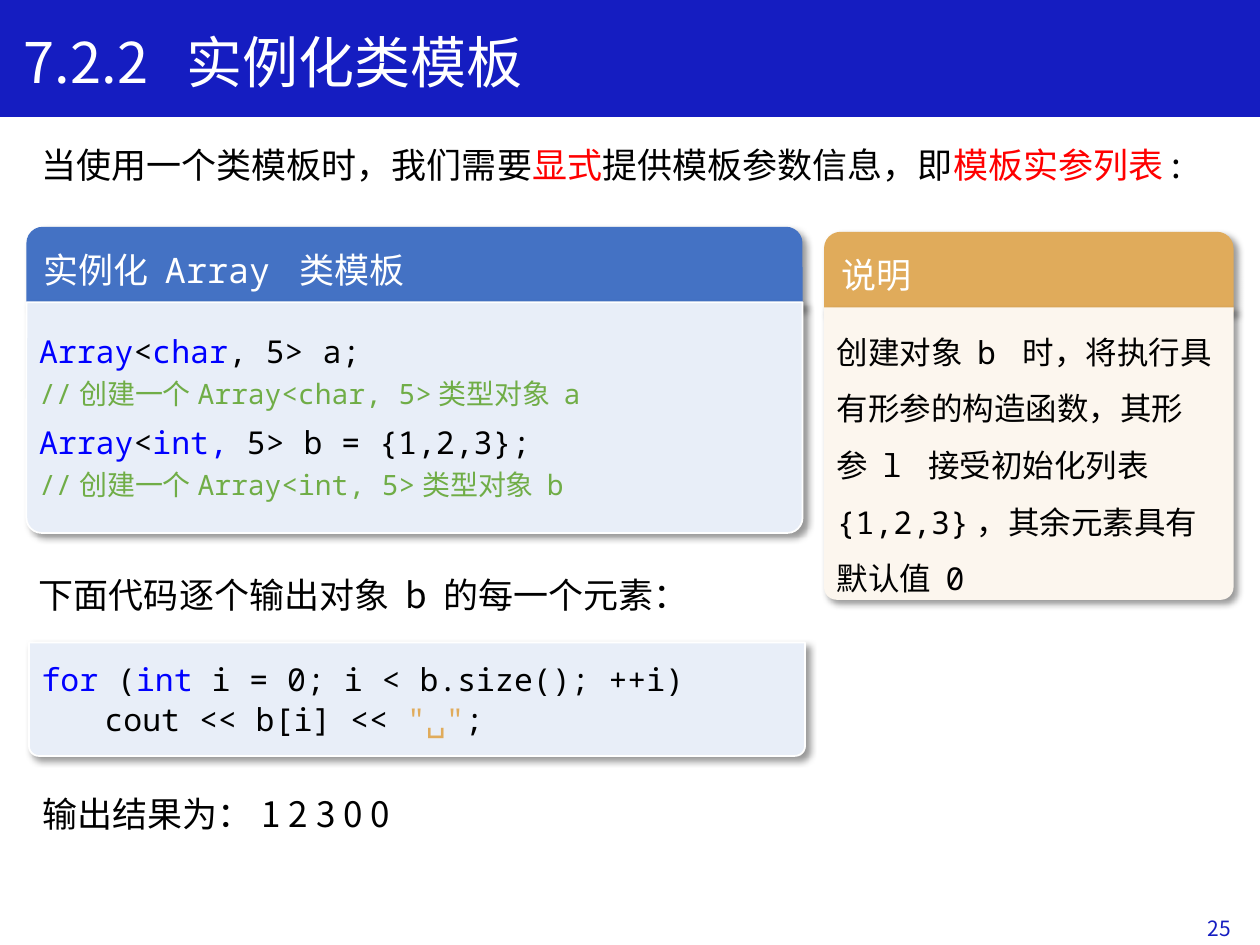
from lxml import etree
from pptx import Presentation
from pptx.dml.color import RGBColor
from pptx.enum.shapes import MSO_SHAPE
from pptx.enum.text import MSO_ANCHOR, PP_ALIGN
from pptx.oxml import parse_xml
from pptx.oxml.ns import nsdecls, qn
from pptx.util import Inches, Pt

RECT, ROUND = MSO_SHAPE.RECTANGLE, MSO_SHAPE.ROUND_2_SAME_RECTANGLE
TOP, MIDDLE = MSO_ANCHOR.TOP, MSO_ANCHOR.MIDDLE
LEFT, RIGHT = PP_ALIGN.LEFT, PP_ALIGN.RIGHT
NAVY = RGBColor(0x15, 0x1D, 0xC1)
HEADER_BLUE = RGBColor(0x44, 0x72, 0xC4)
PALE_BLUE = RGBColor(0xE8, 0xEE, 0xF8)
GOLD = RGBColor(0xE0, 0xAB, 0x5B)
CREAM = RGBColor(0xFC, 0xF6, 0xEE)
KEYWORD = RGBColor(0x00, 0x00, 0xFF)
COMMENT = RGBColor(0x70, 0xAD, 0x47)
RED = RGBColor(0xFF, 0x00, 0x00)
BLACK = RGBColor(0x00, 0x00, 0x00)
WHITE = RGBColor(0xFF, 0xFF, 0xFF)
SANS, MONO = "Noto Sans CJK SC", "Noto Sans Mono"
SHADOW = (
    f'<a:effectLst {nsdecls("a")}><a:outerShdw blurRad="50800" dist="38100" '
    'dir="2700000" algn="tl" rotWithShape="0"><a:srgbClr val="000000">'
    '<a:alpha val="40000"/></a:srgbClr></a:outerShdw></a:effectLst>'
)

prs = Presentation()
prs.slide_width, prs.slide_height = Inches(10), Inches(7.5)
s = prs.slides.add_slide(prs.slide_layouts[6])


def write(tf, paragraphs, font, anchor=TOP, align=LEFT, spacing=None):
    tf.word_wrap = True
    tf.vertical_anchor = anchor
    for i, (size, before, runs) in enumerate(paragraphs):
        p = tf.paragraphs[0] if i == 0 else tf.add_paragraph()
        p.alignment = align
        if spacing:
            p.line_spacing = spacing
        if before:
            p.space_before = Pt(before)
        for text, color in runs:
            r = p.add_run()
            r.text = text
            for name, value in {"name": font, "size": Pt(size)}.items():
                setattr(r.font, name, value)
            r.font.color.rgb = color
            etree.SubElement(r.font._element, qn("a:ea")).set("typeface", SANS)


def panel(box, fill, top_radius, bottom_radius, line=None):
    sp = s.shapes.add_shape(ROUND, *map(Inches, box))
    sp.adjustments[0] = top_radius / box[3]
    sp.adjustments[1] = bottom_radius / box[3]
    sp.fill.solid()
    sp.fill.fore_color.rgb = fill
    if line is None:
        sp.line.fill.background()
    else:
        sp.line.color.rgb = line
        sp.line.width = Pt(1)
    sp._element.spPr.append(parse_xml(SHADOW))
    if bottom_radius:
        inset = Inches(0.1 - 0.29 * bottom_radius)
        sp.text_frame.margin_left = sp.text_frame.margin_right = inset
    return sp.text_frame


banner = s.shapes.add_shape(RECT, 0, 0, prs.slide_width, Inches(0.92))
banner.shadow.inherit = False
banner.fill.solid()
banner.fill.fore_color.rgb = NAVY
banner.line.color.rgb = NAVY
banner.line.width = Pt(1)

labels = [
    ((7.62, 7.17, 2.25, 0.4), 12, MIDDLE, RIGHT, [("25", NAVY)]),
    ((0.09, 0.17, 9.31, 0.64), 32, TOP, LEFT, [("7.2.2  实例化类模板", WHITE)]),
    ((0.23, 1.09, 9.17, 0.44), 20, TOP, LEFT, [
        ("当使用一个类模板时，我们需要", BLACK), ("显式", RED),
        ("提供模板参数信息，即", BLACK), ("模板实参列表", RED), (":", BLACK)]),
    ((0.21, 4.5, 6.01, 0.44), 20, TOP, LEFT,
     [("下面代码逐个输出对象 b 的每一个元素：", BLACK)]),
    ((0.24, 6.24, 6.01, 0.44), 20, TOP, LEFT, [("输出结果为：1 2 3 0 0", BLACK)]),
]
for box, size, anchor, align, runs in labels:
    tf = s.shapes.add_textbox(*map(Inches, box)).text_frame
    write(tf, [(size, 0, runs)], SANS, anchor, align)

headers = [
    ((0.21, 1.8, 6.16, 0.64), HEADER_BLUE, MONO, "实例化 Array 类模板"),
    ((6.54, 1.84, 3.25, 0.64), GOLD, SANS, "说明"),
]
for box, fill, font, text in headers:
    write(panel(box, fill, 0.13, 0), [(20, 0, [(text, WHITE)])], font, MIDDLE)

declarations = [
    (18, 0, [("Array", KEYWORD), ("<", BLACK), ("char", KEYWORD), (", 5> a;", BLACK)]),
    (16, 0, [("//创建一个Array<char, 5>类型对象 a", COMMENT)]),
    (18, 6, [("Array", KEYWORD), ("<", BLACK), ("int, ", KEYWORD),
             ("5> b = {1,2,3};", BLACK)]),
    (16, 0, [("//创建一个Array<int, 5>类型对象 b", COMMENT)]),
]
tf = panel((0.21, 2.4, 6.16, 1.83), PALE_BLUE, 0, 0.12, WHITE)
write(tf, declarations, MONO, MIDDLE, spacing=Pt(23))

output_loop = [
    (18, 0, [("for ", KEYWORD), ("(", BLACK), ("int ", KEYWORD),
             ("i = 0; i < b.size(); ++i)", BLACK)]),
    (18, 0, [("\t", KEYWORD), ("cout << b[i] << ", BLACK), ('"␣"', GOLD), (";", BLACK)]),
]
tf = panel((0.23, 5.1, 6.16, 0.9), PALE_BLUE, 0, 0.08, WHITE)
write(tf, output_loop, MONO, MIDDLE, spacing=Pt(23))
tabs = etree.SubElement(tf.paragraphs[1]._p.get_or_add_pPr(), qn("a:tabLst"))
etree.SubElement(tabs, qn("a:tab"), pos=str(Inches(0.5)), algn="l")

explanation = ["创建对象 b 时，将执行具", "有形参的构造函数，其形", "参 l 接受初始化列表",
               "{1,2,3}，其余元素具有", "默认值 0"]
tf = panel((6.54, 2.44, 3.25, 2.32), CREAM, 0, 0.1)
write(tf, [(18, 0, [(text, BLACK)]) for text in explanation], MONO, spacing=1.5)

prs.save("out.pptx")
